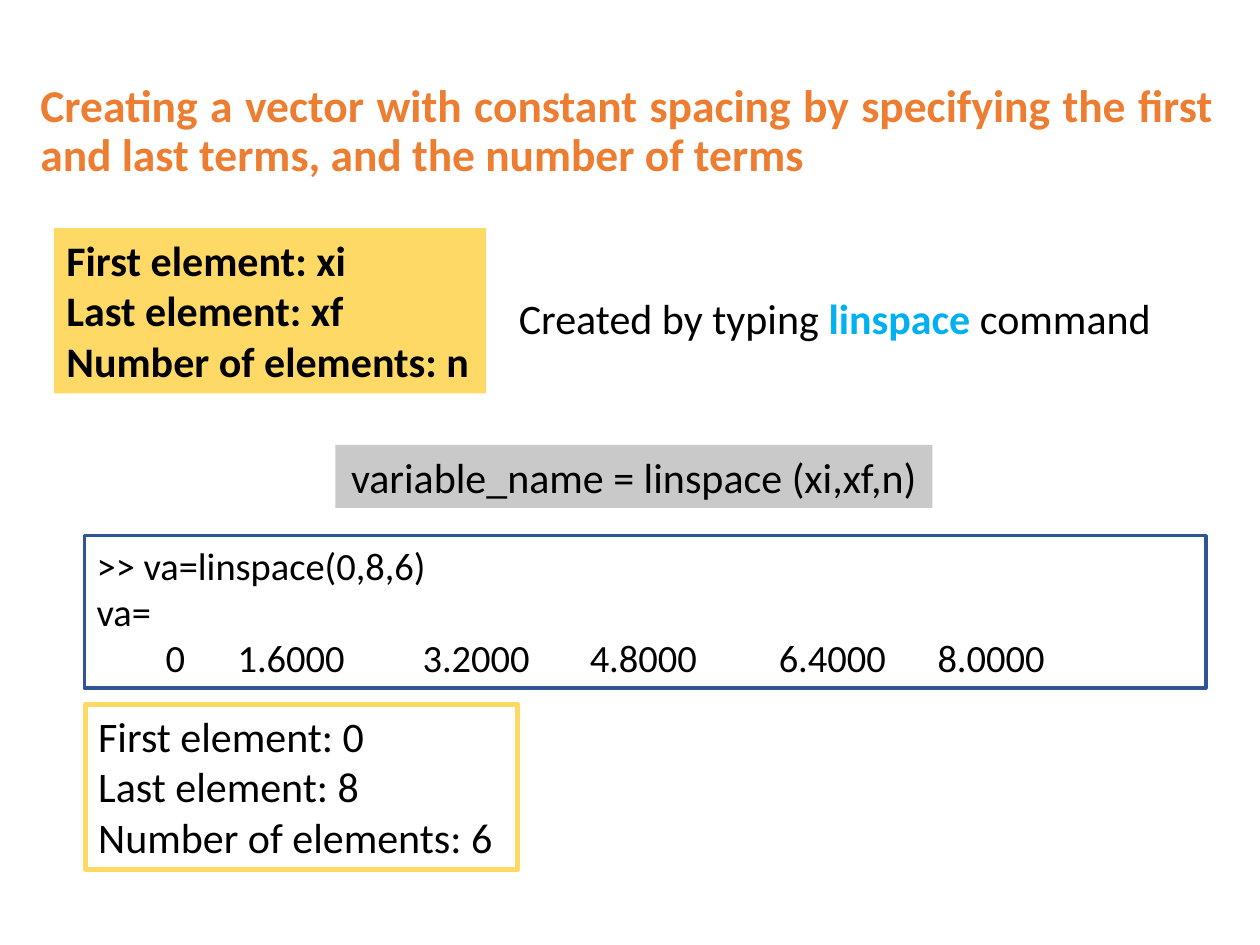
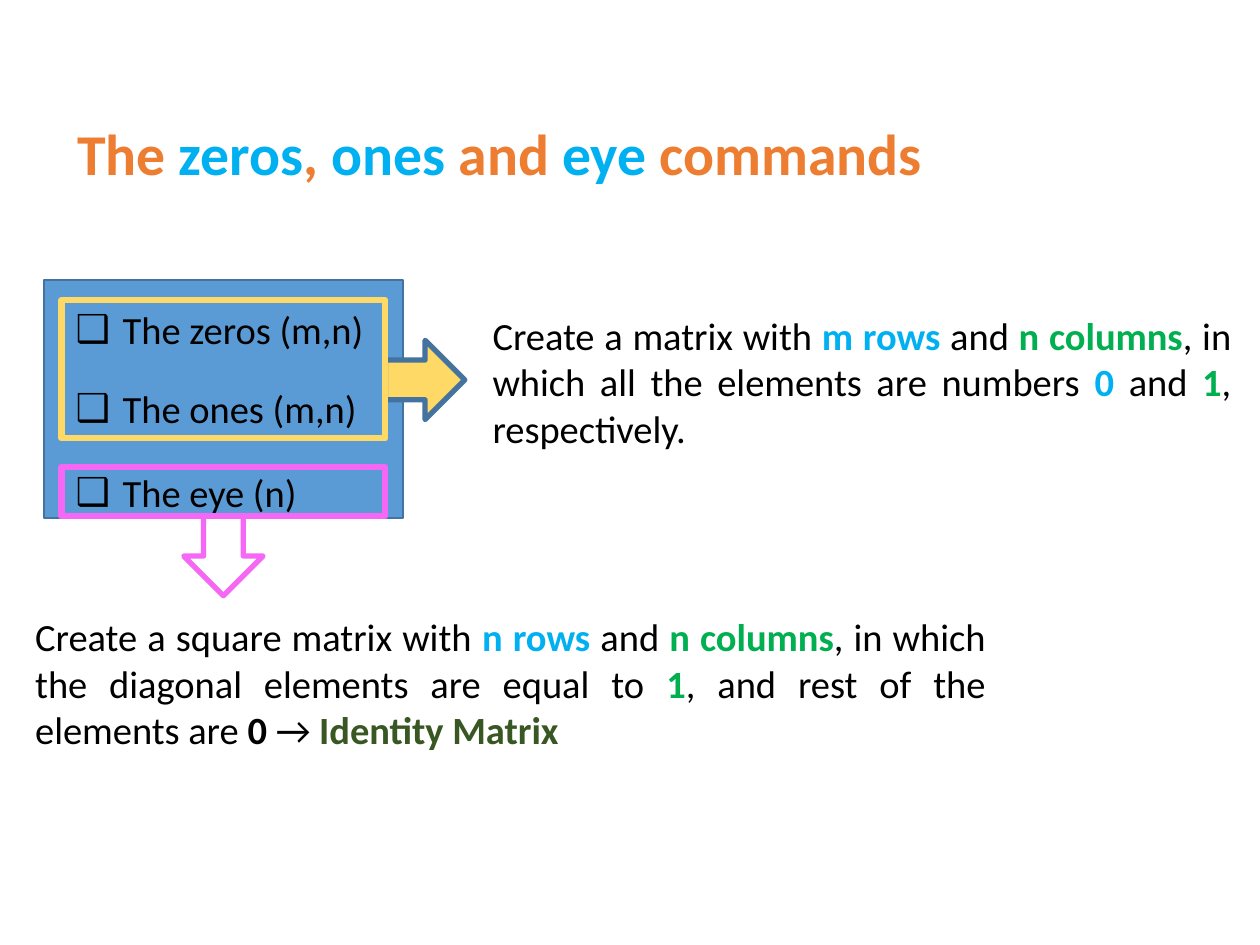
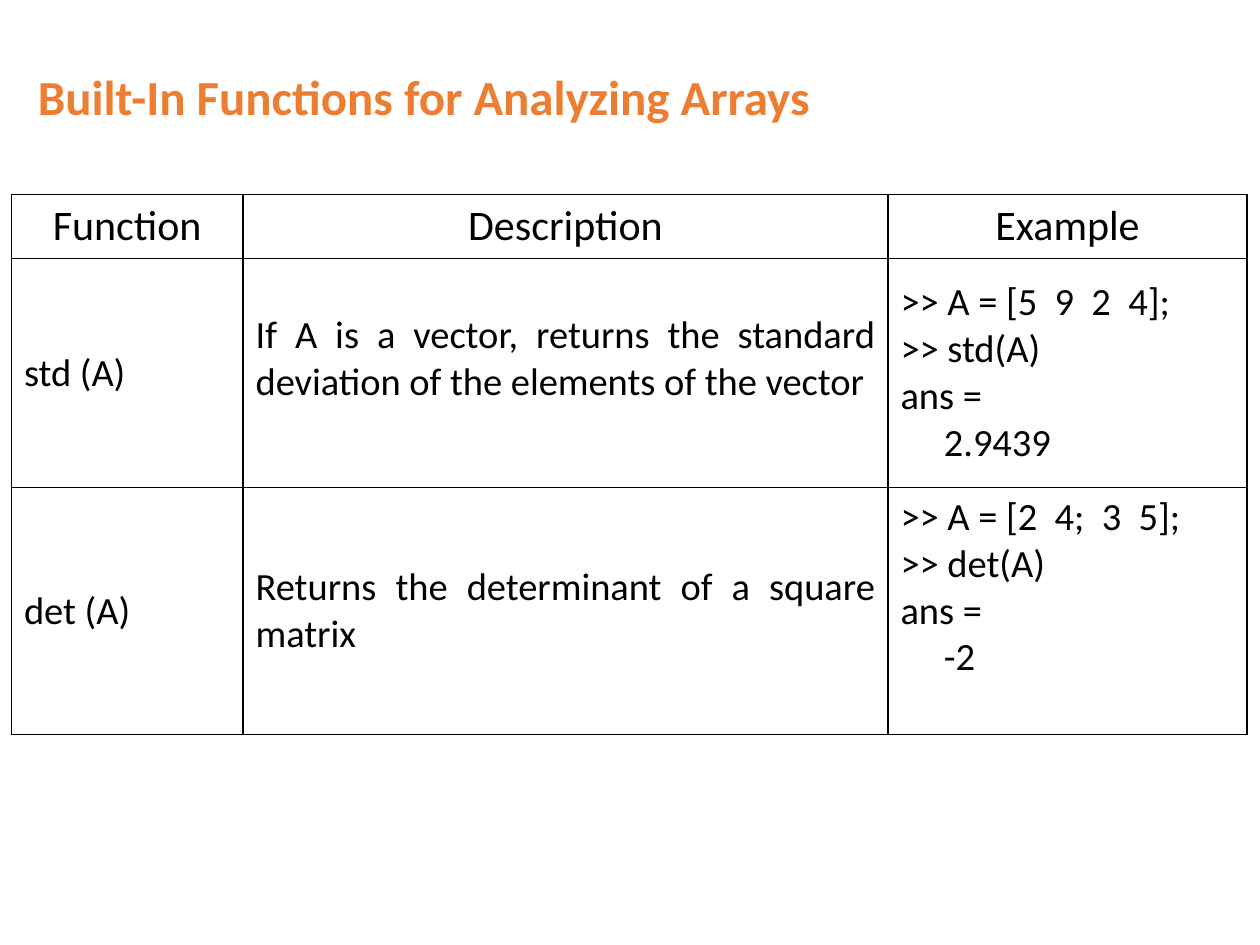
from dataclasses import dataclass, field
from lxml.etree import SubElement
from pptx import Presentation
from pptx.dml.color import RGBColor as Rgb
from pptx.enum.shapes import MSO_SHAPE as Geo
from pptx.enum.text import MSO_ANCHOR as Anc, MSO_AUTO_SIZE as Fit, PP_ALIGN as Al
from pptx.oxml import parse_xml
from pptx.oxml.ns import nsdecls, qn
from pptx.util import Cm, Pt


# Theme: colours, text styles (colour, bold) and type sizes
@dataclass
class Theme:
    font: str = "Calibri"
    code: int = 22
    note: int = 24
    gold: str = "FFD966"
    grey: str = "C9C9C9"
    navy: str = "2F5597"
    blue: str = "5B9BD5"
    steel: str = "43739E"
    pink: str = "F567F5"
    styles: dict = field(default_factory=lambda: {
        "text": ("000000", False), "bold": ("000000", True),
        "head": ("ED7D31", True), "sky": ("00B0F0", True),
        "green": ("00B050", True), "moss": ("385723", True)})


TH = Theme()

# Content: a paragraph is a string or a list of (text, style) runs
VECTOR = "Creating a vector with constant spacing by specifying the first and last terms, and the number of terms"
FIELDS = ["First element: xi", "Last element: xf", "Number of elements: n"]
USAGE = [[("Created by typing ", "text"), ("linspace ", "sky"), ("command", "text")]]
FORMULA = ["variable_name = linspace (xi,xf,n)"]
VALUES = ["0", "1.6000", "3.2000", "4.8000", "6.4000", "8.0000"]
STOPS = [1.39, 2.84, 6.57, 9.94, 13.75, 16.95]
CODE = [">> va=linspace(0,8,6)", "va=", "\t" + "\t".join(VALUES)]
RESULT = ["First element: 0", "Last element: 8", "Number of elements: 6"]

COMMANDS = [("The ", "head"), ("zeros", "sky"), (", ", "head"), ("ones ", "sky"),
            ("and ", "head"), ("eye ", "sky"), ("commands", "head")]
CALLS = ["The zeros (m,n)", "The ones (m,n)", "The eye (n)"]
GAPS = [0, 18.5, 21.5]
FILLED = [[("Create a matrix with ", "text"), ("m rows ", "sky"), ("and ", "text"),
           ("n columns", "green"), (", in which all the elements are numbers ", "text"),
           ("0 ", "sky"), ("and ", "text"), ("1", "green"), (", respectively.", "text")]]
SQUARE = [[("Create a square matrix with ", "text"), ("n rows ", "sky"), ("and ", "text"),
           ("n columns", "green"),
           (", in which the diagonal elements are equal to ", "text"), ("1", "green"),
           (", and rest of the elements are ", "text"), ("0 ", "bold"), ("→ ", "text"),
           ("Identity Matrix", "moss")]]

ARRAYS = "Built-In Functions for Analyzing Arrays"
WIDTHS = [4.67, 13, 7.24]
HEIGHTS = [1.29, 4.62, 4.98]
ROWS = [
    (["Function"], ["Description"], ["Example"]),
    (["std (A)"],
     ["If A is a vector, returns the standard deviation of the elements of the vector"],
     [">> A = [5  9  2  4];", ">> std(A)", "ans =", "     2.9439"]),
    (["det (A)"], ["Returns the determinant of a square matrix"],
     [">> A = [2  4;  3  5];", ">> det(A)", "ans =", "     -2"]),
]


# Helpers
def put(obj, **vals):
    for key, val in vals.items():
        setattr(obj, key, val)


def place(shape, box):
    put(shape, **dict(zip(("left", "top", "width", "height"), map(Cm, box))))


def write(frame, paras, size, style="text", **form):
    for i, runs in enumerate(paras):
        para = frame.paragraphs[0] if i == 0 else frame.add_paragraph()
        put(para, **form)
        for text, name in [(runs, style)] if isinstance(runs, str) else runs:
            run = para.add_run()
            run.text = text
            tone, bold = TH.styles[name]
            put(run.font, name=TH.font, size=Pt(size), bold=bold)
            run.font.color.rgb = Rgb.from_string(tone)


def paint(shape, fill=None, line=None, wide=1):
    if fill:
        shape.fill.solid()
        shape.fill.fore_color.rgb = Rgb.from_string(fill)
    else:
        shape.fill.background()
    if line:
        shape.line.color.rgb = Rgb.from_string(line)
        shape.line.width = Pt(wide)
    else:
        shape.line.fill.background()


def form(slide, geo, box, **look):
    shape = slide.shapes.add_shape(geo, *map(Cm, box))
    shape.shadow.inherit = False
    paint(shape, **look)
    return shape


def note(slide, box, paras, size=TH.note, wrap=False, align=Al.LEFT, **look):
    shape = slide.shapes.add_textbox(*map(Cm, box))
    paint(shape, **look)
    put(shape.text_frame, word_wrap=wrap, vertical_anchor=Anc.TOP)
    write(shape.text_frame, paras, size, alignment=align)
    return shape


def start(deck, layout, title, box, size, align=Al.LEFT):
    slide = deck.slides.add_slide(deck.slide_layouts[layout])
    head = slide.shapes.title
    place(head, box)
    put(head.text_frame, auto_size=Fit.NONE, word_wrap=True, vertical_anchor=Anc.MIDDLE)
    write(head.text_frame, [title], size, "head", alignment=align, line_spacing=0.9)
    return slide


def edge(cell):
    props = cell._tc.get_or_add_tcPr()
    for i, side in enumerate("LRTB"):
        props.insert(i, parse_xml(
            f'<a:ln{side} {nsdecls("a")} w="12700"><a:solidFill>'
            f'<a:srgbClr val="000000"/></a:solidFill></a:ln{side}>'))


# Slides
def vector(deck):
    slide = start(deck, 5, VECTOR, (0.56, 1.52, 24.18, 2.29), 26, Al.JUSTIFY)
    note(slide, (6.76, 8.97, 12.04, 1.27), FORMULA, align=Al.CENTER, fill=TH.grey)
    note(slide, (1.09, 4.6, 8.71, 3.33), FIELDS_BOLD, fill=TH.gold)
    note(slide, (10.21, 5.77, 13.31, 1.27), USAGE)
    code = note(slide, (1.7, 10.8, 22.61, 3.07), CODE, TH.code, True,
                line=TH.navy, wide=2)
    tabs = SubElement(code.text_frame.paragraphs[-1]._p.get_or_add_pPr(), qn("a:tabLst"))
    for stop in STOPS:
        SubElement(tabs, qn("a:tab"), pos=str(int(Cm(stop))), algn="l")
    note(slide, (1.73, 14.2, 8.71, 3.33), RESULT, line=TH.gold, wide=3)


FIELDS_BOLD = [[(text, "bold")] for text in FIELDS]


def matrix(deck):
    slide = start(deck, 1, COMMANDS, (1.3, 1.32, 22.6, 3.68), 33)
    panel = form(slide, Geo.RECTANGLE, (0.89, 5.64, 7.24, 4.8), fill=TH.blue, line=TH.steel)
    slide.shapes._spTree.insert(2, panel._element)

    # Command list
    body = slide.placeholders[1]
    place(body, (1.27, 6.05, 6.86, 4.5))
    put(body.text_frame, auto_size=Fit.NONE, word_wrap=True, vertical_anchor=Anc.TOP)
    write(body.text_frame, CALLS, TH.code, alignment=Al.JUSTIFY)
    for para, gap in zip(body.text_frame.paragraphs, GAPS):
        props = para._p.get_or_add_pPr()
        props.set("marL", str(int(Cm(0.95))))
        props.set("indent", str(int(Cm(-0.95))))
        SubElement(props, qn("a:buChar"), char="❑")
        para.space_before = Pt(gap)

    # Frames, each with an arrow leaving its edge
    left, wide, arm = 1.24, 6.53, 1.6
    form(slide, Geo.RIGHT_ARROW, (left + wide, 6.86, arm, arm),
         fill=TH.gold, line=TH.steel, wide=3)
    form(slide, Geo.RECTANGLE, (left, 6.05, wide, 2.79), line=TH.gold, wide=3.5)
    form(slide, Geo.RECTANGLE, (left, 9.42, wide, 0.99), line=TH.pink, wide=3.5)
    form(slide, Geo.DOWN_ARROW, (left + (wide - arm) / 2, 10.41, arm, arm),
         line=TH.pink, wide=3)
    for box, paras in (((9.68, 6.17, 15.39, 3.07), FILLED),
                       ((0.46, 12.24, 19.66, 3.07), SQUARE)):
        note(slide, box, paras, TH.code, True, Al.JUSTIFY)


def arrays(deck):
    slide = start(deck, 5, ARRAYS, (0.51, 0.91, 22.6, 2.21), 28)
    box = (0.23, 3.92, sum(WIDTHS), sum(HEIGHTS))
    grid = slide.shapes.add_table(len(ROWS), len(WIDTHS), *map(Cm, box)).table
    put(grid, first_row=False, horz_banding=False)
    for col, wide in zip(grid.columns, WIDTHS):
        col.width = Cm(wide)
    for r, row in enumerate(ROWS):
        grid.rows[r].height = Cm(HEIGHTS[r])
        for c, paras in enumerate(row):
            cell = grid.cell(r, c)
            edge(cell)
            cell.fill.background()
            top = r == 0 or (r, c) in ((1, 1), (2, 2))
            cell.vertical_anchor = Anc.TOP if top else Anc.MIDDLE
            align = Al.CENTER if r == 0 else Al.JUSTIFY if c == 1 else Al.LEFT
            write(cell.text_frame, paras, TH.code if r else TH.note, alignment=align)
    grid.cell(1, 1).margin_top = Cm(1.08)


def main():
    deck = Presentation()
    put(deck, slide_width=Cm(25.4), slide_height=Cm(19.05))
    for build in (vector, matrix, arrays):
        build(deck)
    deck.save("out.pptx")


if __name__ == "__main__":
    main()
